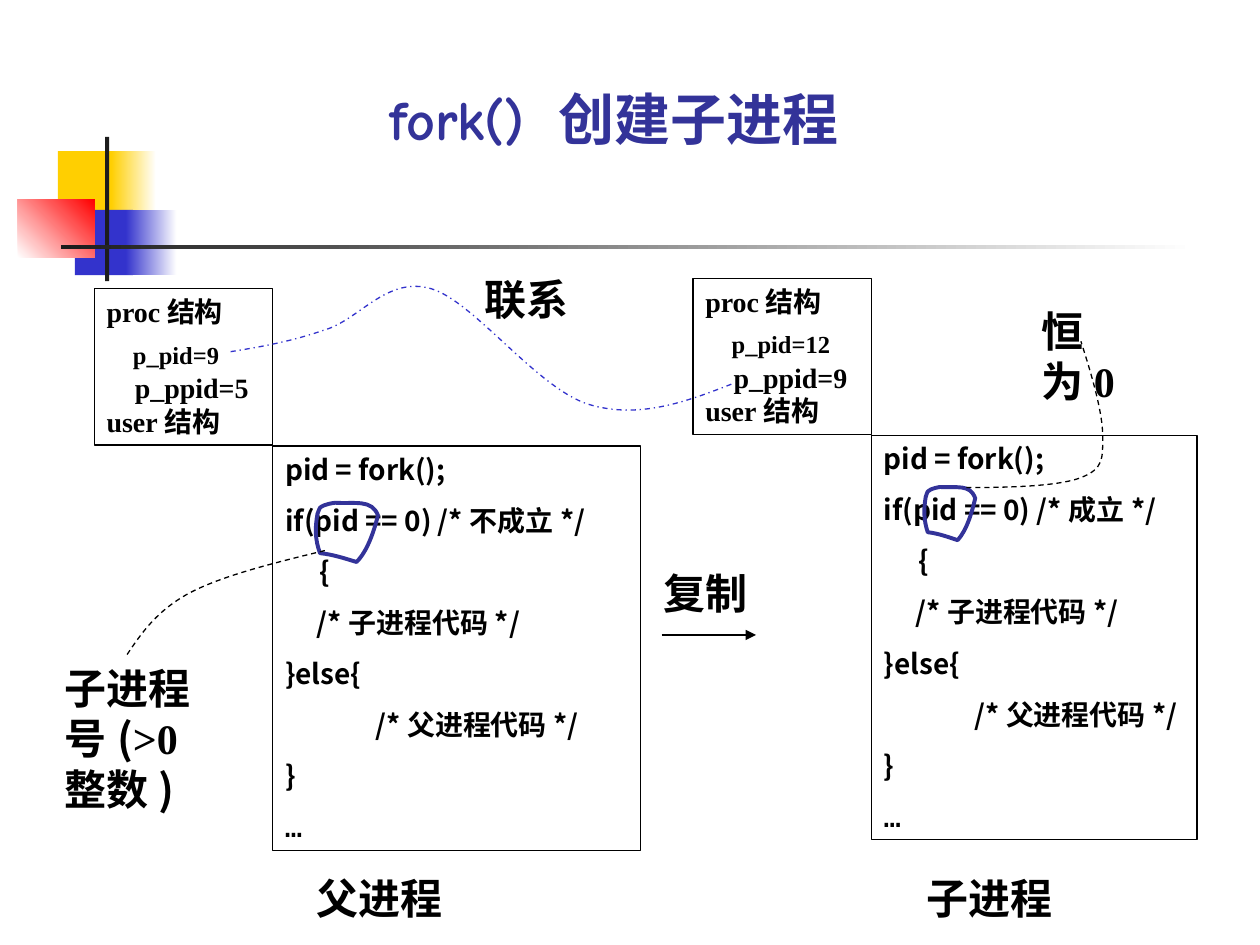
from dataclasses import dataclass

from lxml.etree import SubElement
from pptx import Presentation
from pptx.dml.color import RGBColor
from pptx.enum.dml import MSO_LINE
from pptx.enum.shapes import MSO_CONNECTOR, MSO_SHAPE
from pptx.enum.text import MSO_ANCHOR, PP_ALIGN
from pptx.oxml.ns import qn
from pptx.util import Cm, Pt


@dataclass(frozen=True)
class Theme:
    black: str = "000000"
    white: str = "FFFFFF"
    charcoal: str = "1C1C1C"
    yellow: str = "FFCF01"
    blue: str = "3333CC"
    red: str = "FF0000"
    indigo: str = "333399"
    serif: str = "Times New Roman"
    sans: str = "Noto Sans CJK SC"
    mono: str = "Courier New"
    comic: str = "Comic Neue"
    title_size: float = 32
    label_size: float = 24
    body_size: float = 16
    small_size: float = 14
    line_height: float = 1.2
    thin: float = 0.75
    arrow: float = 1
    thick: float = 2.25


THEME = Theme()

RING = [
    (0.66, 1), (0.46, 0.94), (0.28, 0.88), (0.08, 0.86),
    (0, 0.64), (0, 0.46), (0.04, 0.24),
    (0.06, 0.2), (0.06, 0.16), (0.08, 0.14),
    (0.14, 0.08), (0.32, 0.06), (0.32, 0.06),
    (0.64, 0.08), (0.9, 0), (1, 0.26),
    (0.94, 0.5), (0.84, 0.82), (0.66, 1),
]
RELATION_CURVE = [
    (4.65, 7.09), (5.28, 6.99), (5.89, 6.88), (6.55, 6.65),
    (7.24, 6.45), (7.8, 5.56), (8.69, 5.82),
    (9.55, 6.07), (10.82, 7.82), (11.86, 8.15),
    (12.88, 8.46), (13.84, 8.1), (14.81, 7.72),
]
CHILD_ID_CURVE = [
    (6.55, 11.1), (5.51, 11.35), (4.47, 11.61), (3.81, 11.96),
    (3.15, 12.32), (2.84, 12.78), (2.54, 13.23),
]
ZERO_CURVE = [
    (19.48, 9.83), (20.4, 9.83), (21.34, 9.8), (21.79, 9.63),
    (22.25, 9.45), (22.23, 9.25), (22.23, 8.79),
    (22.23, 8.33), (22.02, 7.59), (21.79, 6.88),
]


def color(code):
    return RGBColor.from_string(code)


def add_block(slide, bounds, start, end=None, angle=0):
    block = slide.shapes.add_shape(MSO_SHAPE.RECTANGLE, *map(Cm, bounds))
    block.shadow.inherit = False
    block.line.fill.background()
    if end is None:
        block.fill.solid()
        block.fill.fore_color.rgb = color(start)
        return
    block.fill.gradient()
    block.fill.gradient_angle = angle
    for stop, code in zip(block.fill.gradient_stops, (start, end)):
        stop.color.rgb = color(code)


def add_decoration(slide):
    add_block(slide, (1.17, 3.05, 1.22, 1.32), THEME.yellow)
    add_block(slide, (2.24, 3.05, 0.91, 1.32), THEME.yellow, THEME.white)
    add_block(slide, (1.51, 4.23, 1.17, 1.32), THEME.blue)
    add_block(slide, (2.54, 4.23, 1.02, 1.32), THEME.blue, THEME.white)
    add_block(slide, (0.36, 4.02, 1.55, 1.17), THEME.white, THEME.red, 45)
    add_block(slide, (2.12, 2.76, 0.08, 2.91), THEME.charcoal)
    add_block(slide, (1.23, 4.94, 22.86, 0.09), THEME.charcoal, THEME.white)


def style_span(span, font, size, code=THEME.black):
    span.font.name = font
    span.font.size = Pt(size)
    span.font.bold = True
    span.font.color.rgb = color(code)
    east_asian = font if font == THEME.comic else THEME.sans
    SubElement(span._r.get_or_add_rPr(), qn("a:ea")).set("typeface", east_asian)


def set_line_height(para, size):
    para.line_spacing = Pt(size * THEME.line_height)


def add_label(slide, bounds, spans, size=THEME.label_size,
              code=THEME.black, align=PP_ALIGN.LEFT):
    box = slide.shapes.add_textbox(*map(Cm, bounds))
    box.text_frame.word_wrap = True
    para = box.text_frame.paragraphs[0]
    para.alignment = align
    set_line_height(para, size)
    for text, font in spans:
        span = para.add_run()
        span.text = text
        style_span(span, font, size, code)


def add_framed_text(slide, bounds, lines, font):
    box = slide.shapes.add_shape(MSO_SHAPE.RECTANGLE, *map(Cm, bounds))
    box.shadow.inherit = False
    box.fill.background()
    box.line.color.rgb = color(THEME.black)
    box.line.width = Pt(THEME.thin)
    frame = box.text_frame
    frame.word_wrap = True
    frame.vertical_anchor = MSO_ANCHOR.TOP
    frame.text = "\n".join(lines)
    for para in frame.paragraphs:
        para.alignment = PP_ALIGN.LEFT
        set_line_height(para, THEME.body_size)
        style_span(para.runs[0], font, THEME.body_size)
    return frame.paragraphs


def add_process(slide, left, top, code_width, pid, parent_pid, verdict):
    lines = ["proc结构", f"p_pid={pid}", f"p_ppid={parent_pid}", "user结构"]
    paras = add_framed_text(slide, (left, top, 3.6, 3.15), lines, THEME.serif)
    for para, indent in zip(paras[1:3], (0.53, 0.57)):
        para._p.get_or_add_pPr().set("marL", str(Cm(indent)))
    paras[1].space_before = Pt(4)
    paras[1].space_after = Pt(1)
    paras[1].runs[0].font.size = Pt(THEME.small_size)

    code = ["pid = fork();", f"if(pid == 0) /*{verdict}*/", "　{",
            "     /*子进程代码*/", "}else{", "　　　/*父进程代码*/", "}", "…"]
    bounds = (left + 3.6, top + 3.17, code_width, 8.15)
    paras = add_framed_text(slide, bounds, code, THEME.sans)
    for para in paras[1:]:
        para.space_before = Pt(10)
    paras[-1].runs[0].font.name = THEME.mono


def add_curve(slide, nodes, code, width, dash=None, close=False):
    points = [(Cm(x), Cm(y)) for x, y in nodes]
    builder = slide.shapes.build_freeform(*points[0])
    builder.add_line_segments(points[1:], close=close)
    curve = builder.convert_to_shape()
    segments = list(curve._element.iter(qn("a:lnTo")))
    for first in range(0, len(segments), 3):
        bend = segments[first].makeelement(qn("a:cubicBezTo"))
        segments[first].addprevious(bend)
        for segment in segments[first:first + 3]:
            bend.append(segment[0])
            segment.getparent().remove(segment)
    curve.shadow.inherit = False
    curve.fill.background()
    curve.line.color.rgb = color(code)
    curve.line.width = Pt(width)
    if dash is not None:
        curve.line.dash_style = dash


def add_ring(slide, left, top, width, height):
    nodes = [(left + x * width, top + y * height) for x, y in RING]
    add_curve(slide, nodes, THEME.indigo, THEME.thick, close=True)


def add_arrow(slide, start, end):
    arrow = slide.shapes.add_connector(MSO_CONNECTOR.STRAIGHT, *map(Cm, start + end))
    arrow.line.color.rgb = color(THEME.black)
    arrow.line.width = Pt(THEME.arrow)
    SubElement(arrow.line._get_or_add_ln(), qn("a:tailEnd")).set("type", "triangle")
    SubElement(arrow._element.spPr, qn("a:effectLst"))


def main():
    deck = Presentation()
    deck.slide_width, deck.slide_height = Cm(25.4), Cm(19.05)
    slide = deck.slides.add_slide(deck.slide_layouts[6])
    add_decoration(slide)
    add_process(slide, 1.9, 5.82, 7.42, 9, 5, "不成立")
    add_process(slide, 13.97, 5.61, 6.56, 12, 9, "成立")
    add_arrow(slide, (13.34, 12.8), (15.24, 12.8))
    add_label(slide, (13.13, 11.32, 2.34, 1.27), [("复制", THEME.serif)])
    add_label(slide, (6.14, 17.46, 3.18, 1.27), [("父进程", THEME.serif)])
    add_label(slide, (18.42, 17.46, 3.18, 1.27), [("子进程", THEME.serif)])
    add_label(slide, (1.9, 1.58, 20.96, 1.63),
              [("fork() ", THEME.comic), ("创建子进程", THEME.serif)],
              THEME.title_size, THEME.indigo, PP_ALIGN.CENTER)
    add_curve(slide, RELATION_CURVE, THEME.blue, THEME.thin, MSO_LINE.DASH_DOT)
    add_label(slide, (9.52, 5.38, 2.74, 1.27), [("联系", THEME.serif)])
    add_label(slide, (1.06, 13.23, 3.18, 3.3),
              [("子进程号", THEME.serif), ("(", THEME.sans),
               (">0整数", THEME.serif), (")", THEME.sans)])
    add_ring(slide, 18.62, 9.75, 1.04, 1.14)
    add_ring(slide, 6.35, 10.06, 1.27, 1.27)
    add_curve(slide, CHILD_ID_CURVE, THEME.black, THEME.thin, MSO_LINE.DASH)
    add_label(slide, (20.75, 6.03, 2.11, 2.29), [("恒为0", THEME.serif)])
    add_curve(slide, ZERO_CURVE, THEME.black, THEME.thin, MSO_LINE.DASH)
    deck.save("out.pptx")


if __name__ == "__main__":
    main()
